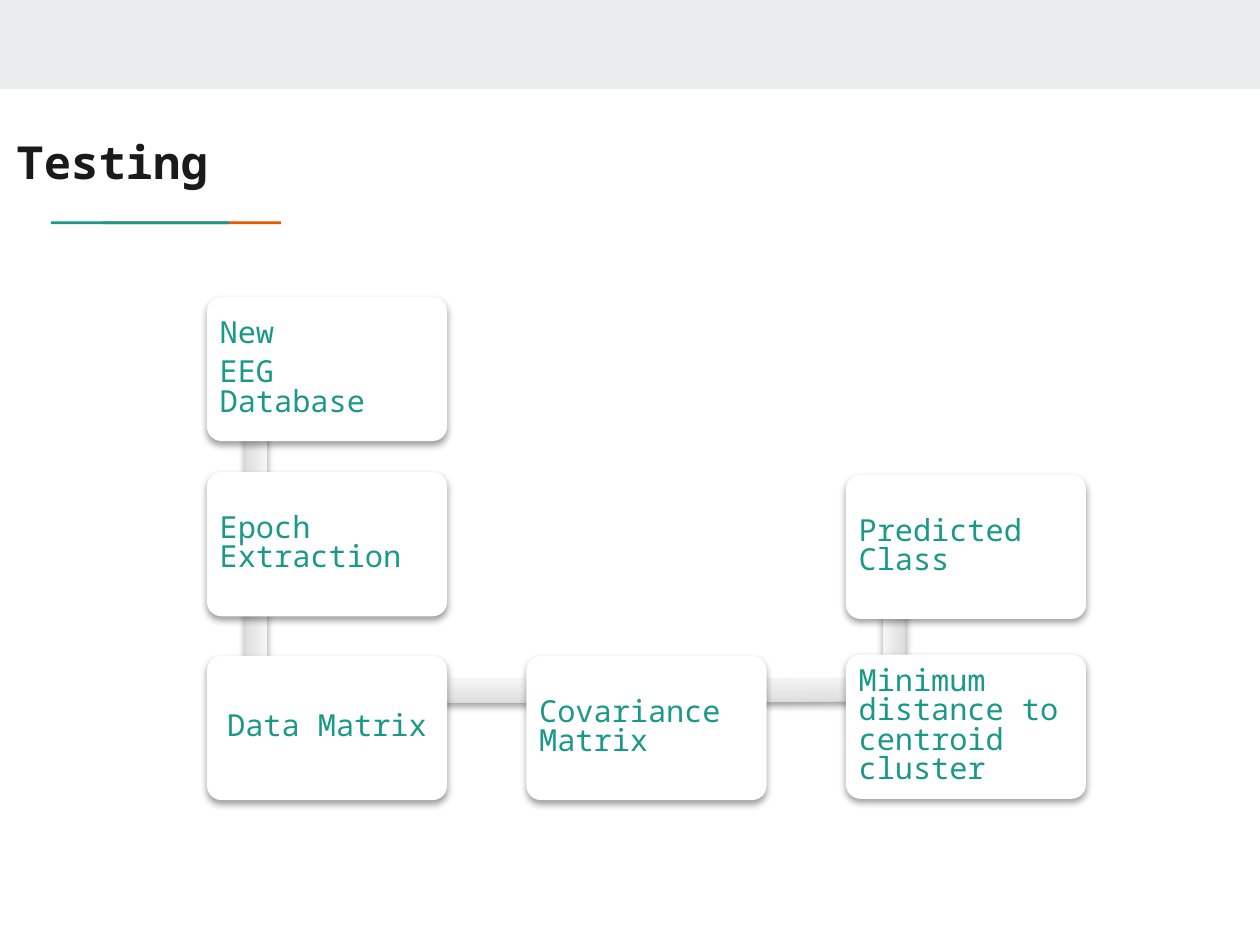
import copy
import math
import pptx
import pptx.util
import pptx.dml.color
import pptx.enum.shapes
import pptx.enum.text
import pptx.oxml
import pptx.oxml.ns

Cm, Pt = pptx.util.Cm, pptx.util.Pt
SHAPE = pptx.enum.shapes.MSO_SHAPE
ALIGN = pptx.enum.text.PP_ALIGN
ANCHOR = pptx.enum.text.MSO_ANCHOR
qn = pptx.oxml.ns.qn
TEAL = "1A9988"
SHADOW = (
    f'<a:outerShdw {pptx.oxml.ns.nsdecls("a")} blurRad="40000" dist="20000" dir="5400000" '
    'rotWithShape="0"><a:srgbClr val="000000"><a:alpha val="38000"/></a:srgbClr></a:outerShdw>'
)


def rgb(value):
    return pptx.dml.color.RGBColor.from_string(value)


def add_block(kind, left, top, width, height, color, shadow=False):
    s = slide.shapes.add_shape(kind, Cm(left), Cm(top), Cm(width), Cm(height))
    s.fill.solid()
    s.fill.fore_color.rgb = rgb(color)
    s.line.fill.background()
    s.shadow.inherit = False
    if shadow:
        effects = s._element.spPr.find(qn("a:effectLst"))
        effects.append(pptx.oxml.parse_xml(SHADOW))
    return s


prs = pptx.Presentation()
prs.slide_width, prs.slide_height = Cm(19.05), Cm(14.29)
slide = prs.slides.add_slide(prs.slide_layouts[6])

# Header band and two-colour rule
add_block(SHAPE.RECTANGLE, 0, 0, 19.05, 1.35, "E9EDEE")
for left, color in ((1.55, "EB5600"), (0.77, TEAL)):
    add_block(SHAPE.RECTANGLE, left, 3.35, 2.7, 0.04, color)

# Title
tf = slide.shapes.add_textbox(0, Cm(1.78), Cm(8), Cm(1.12)).text_frame
tf.word_wrap = True
for side in ("left", "top", "right", "bottom"):
    setattr(tf, f"margin_{side}", Cm(0.25))
r = tf.paragraphs[0].add_run()
r.text = "Testing"
r.font.color.rgb = rgb("1A1A1A")
for name, value in {"name": "Noto Sans Mono", "size": Pt(19.5), "bold": True}.items():
    setattr(r.font, name, value)

# Flow steps in order: left, top, paragraphs, alignment
box_w, box_h = 3.63, 2.18
steps = [
    (3.13, 4.49, ["New", "EEG Database"], ALIGN.LEFT),
    (3.13, 7.14, ["Epoch Extraction"], ALIGN.LEFT),
    (3.13, 9.92, ["Data Matrix"], ALIGN.CENTER),
    (7.96, 9.92, ["Covariance Matrix"], ALIGN.LEFT),
    (12.79, 9.9, ["Minimum distance to centroid cluster"], ALIGN.LEFT),
    (12.79, 7.18, ["Predicted Class"], ALIGN.LEFT),
]

# Bars joining each step to the next, behind the boxes
bar_h = 0.34
for (x1, y1, *_), (x2, y2, *_) in zip(steps, steps[1:]):
    length = math.hypot(x2 - x1, y2 - y1)
    mid_x = (x1 + x2 + box_w) / 2 - 1.08
    mid_y = (y1 + y2 + box_h) / 2 - 0.55
    s = add_block(SHAPE.RECTANGLE, mid_x - length / 2, mid_y - bar_h / 2,
                  length, bar_h, "E5E5E5", shadow=True)
    s.rotation = math.degrees(math.atan2(y2 - y1, x2 - x1)) % 360
    s.fill.gradient()
    s.fill.gradient_angle = 90
    stops = s._element.spPr.find(".//" + qn("a:gsLst"))
    stops.append(copy.deepcopy(stops[0]))
    shades = ((0, "DBDBDB"), (0.35, "E5E5E5"), (1, "F5F5F5"))
    for stop, (position, color) in zip(s.fill.gradient_stops, shades):
        stop.position = position
        stop.color.rgb = rgb(color)

# Step boxes
for left, top, lines, align in steps:
    s = add_block(SHAPE.ROUNDED_RECTANGLE, left, top, box_w, box_h, "FFFFFF", shadow=True)
    s.adjustments[0] = 0.1
    tf = s.text_frame
    tf.word_wrap = True
    tf.vertical_anchor = ANCHOR.MIDDLE
    for side in ("left", "top", "right", "bottom"):
        setattr(tf, f"margin_{side}", Cm(0.13))
    for i, line in enumerate(lines):
        p = tf.add_paragraph() if i else tf.paragraphs[0]
        for name, value in {"alignment": align, "line_spacing": 0.8,
                            "space_after": Pt(4.5)}.items():
            setattr(p, name, value)
        r = p.add_run()
        r.text = line
        r.font.color.rgb = rgb(TEAL)
        for name, value in {"name": "Noto Sans Mono", "size": Pt(13)}.items():
            setattr(r.font, name, value)

prs.save("out.pptx")
